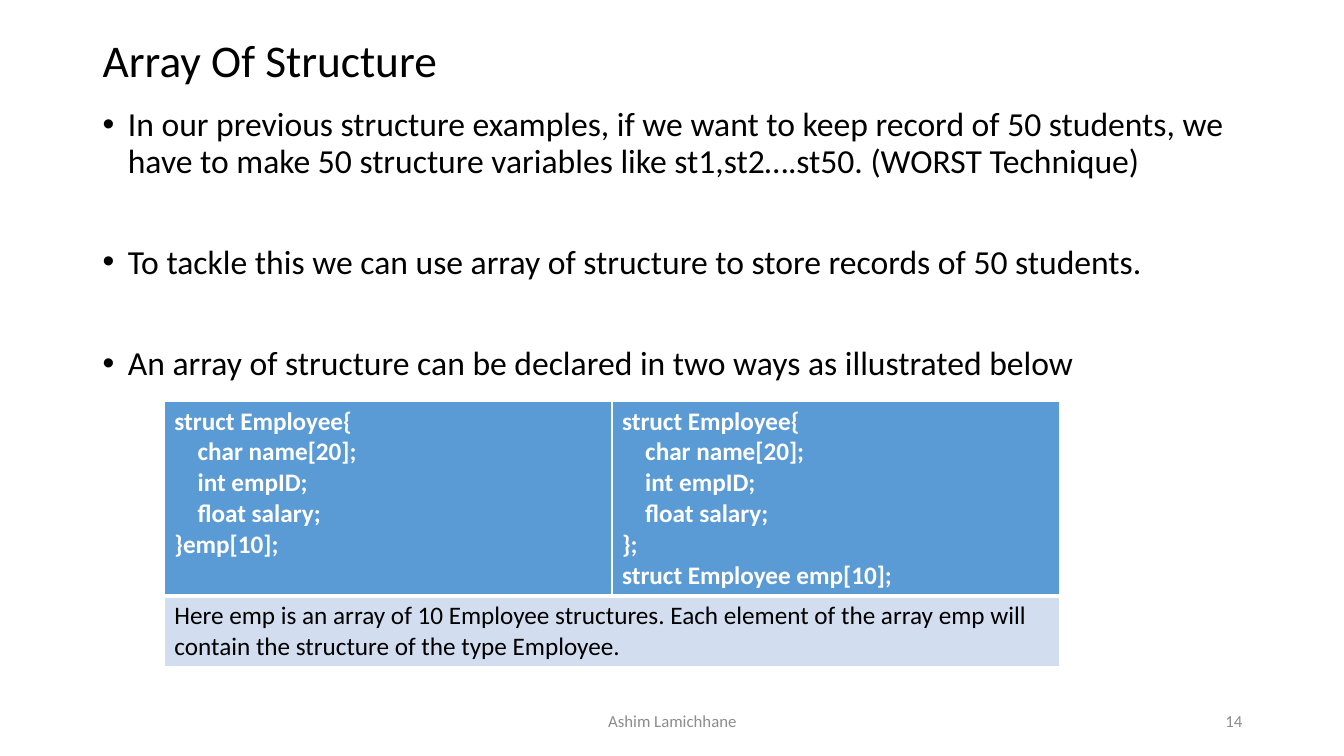
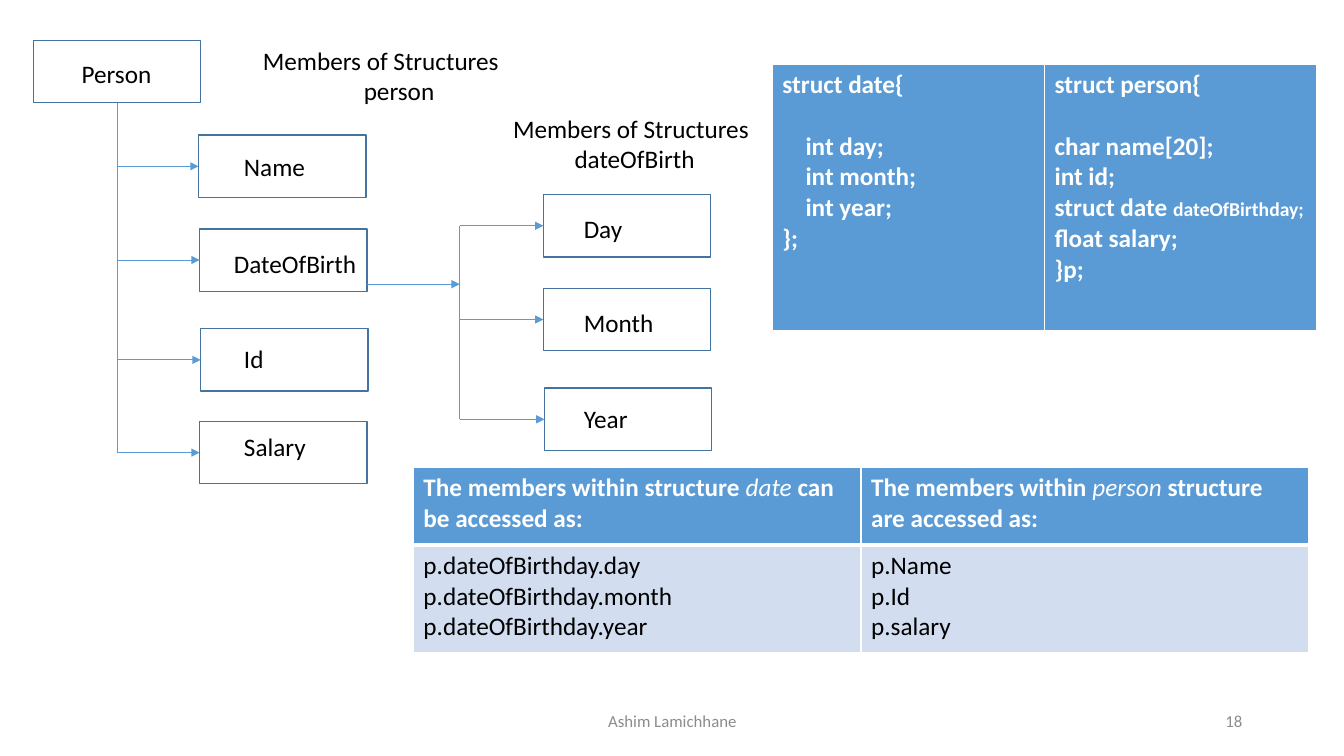
from dataclasses import dataclass
from typing import NamedTuple

from lxml.etree import SubElement
from pptx import Presentation
from pptx.dml.color import RGBColor
from pptx.enum.shapes import MSO_CONNECTOR, MSO_SHAPE
from pptx.enum.text import MSO_ANCHOR, PP_ALIGN
from pptx.oxml.ns import qn
from pptx.util import Inches, Pt

FONT = "Calibri"
BLACK = RGBColor(0x00, 0x00, 0x00)
WHITE = RGBColor(0xFF, 0xFF, 0xFF)
GRAY = RGBColor(0x8C, 0x8C, 0x8C)
BLUE = RGBColor(0x5B, 0x9B, 0xD5)
DARK_BLUE = RGBColor(0x43, 0x73, 0x9E)
PALE_BLUE = RGBColor(0xD2, 0xDE, 0xEF)

CODE_INDENT = 0.23
BLANK_LINE = 22
BODY_GAP = 46.4
BOX_WIDTH, BOX_HEIGHT = 1.66, 0.62
LEFT_SIDE, BOTTOM_SIDE = 1, 2


class Area(NamedTuple):
    left: float
    top: float
    width: float
    height: float

    def lengths(self):
        return [Inches(value) for value in self]


@dataclass(frozen=True)
class Style:
    size: float = 18
    color: RGBColor = BLACK
    bold: bool = False
    align: PP_ALIGN = PP_ALIGN.LEFT
    line_spacing: float = 1.0


@dataclass(frozen=True)
class Span:
    text: str
    size: float | None = None
    italic: bool = False


@dataclass(frozen=True)
class Line:
    spans: tuple[Span, ...]
    indent: float = 0
    space_before: float = 0
    bullet: bool = False


@dataclass(frozen=True)
class Row:
    height: float
    cells: tuple[list[Line], ...]
    header: bool = True


@dataclass(frozen=True)
class Box:
    text: str
    left: float
    top: float
    text_left: float
    text_top: float

    @property
    def middle(self) -> float:
        return self.top + BOX_HEIGHT / 2


TITLE = Style(32.4, line_spacing=0.9)
BODY = Style(24, line_spacing=0.9)
LABEL = Style()
HEADER = Style(color=WHITE, bold=True)
FOOTER = Style(12, GRAY, align=PP_ALIGN.CENTER)
PAGE_NUMBER = Style(12, GRAY, align=PP_ALIGN.RIGHT)


def line(text: str, indent: float = 0, space_before: float = 0, bullet: bool = False) -> Line:
    return Line((Span(text),), indent, space_before, bullet)


def write_lines(text_frame, lines: list[Line], style: Style) -> None:
    for index, item in enumerate(lines):
        paragraph = text_frame.add_paragraph() if index else text_frame.paragraphs[0]
        paragraph.alignment = style.align
        paragraph.line_spacing = style.line_spacing
        paragraph.space_before = Pt(item.space_before)
        properties = paragraph._p.get_or_add_pPr()
        properties.set("marL", str(Inches(item.indent)))
        if item.bullet:
            properties.set("indent", str(-Inches(item.indent)))
            SubElement(properties, qn("a:buFont")).set("typeface", "Arial")
            SubElement(properties, qn("a:buChar")).set("char", "•")
        for span in item.spans:
            run = paragraph.add_run()
            run.text = span.text
            run.font.name = FONT
            run.font.size = Pt(span.size or style.size)
            run.font.color.rgb = style.color
            run.font.bold = style.bold and not span.italic
            run.font.italic = span.italic


def add_text(slide, area: Area, lines: list[Line], style: Style,
             anchor: MSO_ANCHOR = MSO_ANCHOR.TOP, wrap: bool = True) -> None:
    text_frame = slide.shapes.add_textbox(*area.lengths()).text_frame
    text_frame.word_wrap = wrap
    text_frame.vertical_anchor = anchor
    write_lines(text_frame, lines, style)


def set_borders(cell, bottom_width: float) -> None:
    properties = cell._tc.get_or_add_tcPr()
    for side, width in (("L", 1), ("R", 1), ("T", 1), ("B", bottom_width)):
        border = SubElement(properties, qn(f"a:ln{side}"), w=str(Pt(width)))
        fill = SubElement(border, qn("a:solidFill"))
        SubElement(fill, qn("a:srgbClr"), val=str(WHITE))


def add_code_table(slide, left: float, top: float, column_width: float, rows: list[Row]) -> None:
    area = Area(left, top, 2 * column_width, sum(row.height for row in rows))
    table = slide.shapes.add_table(len(rows), 2, *area.lengths()).table
    table.first_row = table.horz_banding = False
    for column in table.columns:
        column.width = Inches(column_width)
    for index, row in enumerate(rows):
        table.rows[index].height = Inches(row.height)
        for cell in table.rows[index].cells:
            set_borders(cell, 3 if row.header else 1)
            cell.fill.solid()
            cell.fill.fore_color.rgb = BLUE if row.header else PALE_BLUE
        if len(row.cells) == 1:
            table.cell(index, 0).merge(table.cell(index, 1))
        for column, lines in enumerate(row.cells):
            write_lines(table.cell(index, column).text_frame, lines, HEADER if row.header else LABEL)


def add_box(slide, box: Box):
    area = Area(box.left, box.top, BOX_WIDTH, BOX_HEIGHT)
    shape = slide.shapes.add_shape(MSO_SHAPE.RECTANGLE, *area.lengths())
    shape.shadow.inherit = False
    shape.fill.background()
    shape.line.color.rgb = DARK_BLUE
    shape.line.width = Pt(1)
    text_frame = shape.text_frame
    text_frame.word_wrap = False
    text_frame.vertical_anchor = MSO_ANCHOR.TOP
    text_frame.margin_left = Inches(box.text_left)
    text_frame.margin_top = Inches(box.text_top)
    text_frame.margin_right = text_frame.margin_bottom = Inches(0)
    write_lines(text_frame, [line(box.text)], LABEL)
    return shape


def add_line(slide, start: tuple[float, float], end: tuple[float, float], arrow: bool = False):
    points = [Inches(value) for value in (*start, *end)]
    connector = slide.shapes.add_connector(MSO_CONNECTOR.STRAIGHT, *points)
    connector.line.color.rgb = BLUE
    connector.line.width = Pt(0.5)
    if arrow:
        SubElement(connector.line._get_or_add_ln(), qn("a:tailEnd"), type="triangle")
    SubElement(connector._element.spPr, qn("a:effectLst"))
    return connector


def add_branches(slide, trunk_x: float, trunk_top: float, boxes: list[Box]):
    trunk = add_line(slide, (trunk_x, trunk_top), (trunk_x, boxes[-1].middle))
    for box in boxes:
        shape = add_box(slide, box)
        branch = add_line(slide, (trunk_x, box.middle), (box.left, box.middle), arrow=True)
        branch.end_connect(shape, LEFT_SIDE)
    return trunk


def add_slide(presentation, number: int):
    slide = presentation.slides.add_slide(presentation.slide_layouts[6])
    add_text(slide, Area(4.42, 6.95, 4.5, 0.4), [line("Ashim Lamichhane")], FOOTER, MSO_ANCHOR.MIDDLE)
    add_text(slide, Area(9.42, 6.95, 3, 0.4), [line(str(number))], PAGE_NUMBER, MSO_ANCHOR.MIDDLE)
    return slide


def build_array_slide(presentation) -> None:
    slide = add_slide(presentation, 14)
    add_text(slide, Area(0.92, 0.32, 11.5, 0.6), [line("Array Of Structure")], TITLE, MSO_ANCHOR.MIDDLE)
    points = [
        "In our previous structure examples, if we want to keep record of 50 students, "
        "we have to make 50 structure variables like st1,st2….st50. (WORST Technique)",
        "To tackle this we can use array of structure to store records of 50 students.",
        "An array of structure can be declared in two ways as illustrated below",
    ]
    body = [line(text, 0.25, BODY_GAP if index else 0, True) for index, text in enumerate(points)]
    add_text(slide, Area(0.92, 1.02, 11.5, 5.73), body, BODY)
    members = [line("struct Employee{")] + [
        line(text, CODE_INDENT) for text in ("char name[20];", "int empID;", "float salary;")
    ]
    note = ("Here emp is an array of 10 Employee structures. Each element of the array emp "
            "will contain the structure of the type Employee.")
    add_code_table(slide, 1.63, 3.98, 4.44, [
        Row(1.93, (members + [line("}emp[10];")],
                   members + [line("};"), line("struct Employee emp[10];")])),
        Row(0.7, ([line(note)],), header=False),
    ])


def build_nested_slide(presentation) -> None:
    slide = add_slide(presentation, 18)
    person = Box("Person", 0.33, 0.4, 0.48, 0.18)
    birth_date = Box("DateOfBirth", 1.98, 2.27, 0.34, 0.19)
    person_members = [
        Box("Name", 1.97, 1.34, 0.45, 0.16),
        birth_date,
        Box("Id", 1.99, 3.26, 0.43, 0.15),
        Box("Salary", 1.98, 4.18, 0.44, 0.1),
    ]
    date_members = [
        Box("Day", 5.39, 1.93, 0.4, 0.19),
        Box("Month", 5.39, 2.86, 0.4, 0.19),
        Box("Year", 5.4, 3.85, 0.39, 0.15),
    ]
    person_shape = add_box(slide, person)
    trunk = add_branches(slide, person.left + BOX_WIDTH / 2, person.top + BOX_HEIGHT, person_members)
    trunk.begin_connect(person_shape, BOTTOM_SIDE)
    date_trunk_x = 4.56
    add_branches(slide, date_trunk_x, date_members[0].middle, date_members)
    add_line(slide, (birth_date.left + BOX_WIDTH, 2.82), (date_trunk_x, 2.82), arrow=True)

    for left, top, name, indent in ((2.51, 0.4, "person", 1), (4.99, 1.07, "dateOfBirth", 0.61)):
        caption = [line("Members of Structures"), line(name, indent)]
        add_text(slide, Area(left, top, 2.57, 0.71), caption, LABEL, wrap=False)

    add_code_table(slide, 4.1, 4.64, 4.44, [
        Row(0.77, (
            [Line((Span("The members within structure "), Span("date", italic=True),
                   Span(" can be accessed as:")))],
            [Line((Span("The members within "), Span("person", italic=True),
                   Span(" structure are accessed as:")))],
        )),
        Row(1.06, (
            [line(f"p.dateOfBirthday.{name}") for name in ("day", "month", "year")],
            [line(f"p.{name}") for name in ("Name", "Id", "salary")],
        ), header=False),
    ])
    add_code_table(slide, 7.66, 0.64, 2.7, [Row(2.65, (
        [line("struct date{"), line("int day;", CODE_INDENT, BLANK_LINE),
         line("int month;", CODE_INDENT), line("int year;", CODE_INDENT), line("};")],
        [line("struct person{"), line("char name[20];", space_before=BLANK_LINE), line("int id;"),
         Line((Span("struct date "), Span("dateOfBirthday;", size=14))),
         line("float salary;"), line("}p;")],
    ))])


def main() -> None:
    presentation = Presentation()
    presentation.slide_width = Inches(13.33)
    presentation.slide_height = Inches(7.5)
    build_array_slide(presentation)
    build_nested_slide(presentation)
    presentation.save("out.pptx")


if __name__ == "__main__":
    main()
